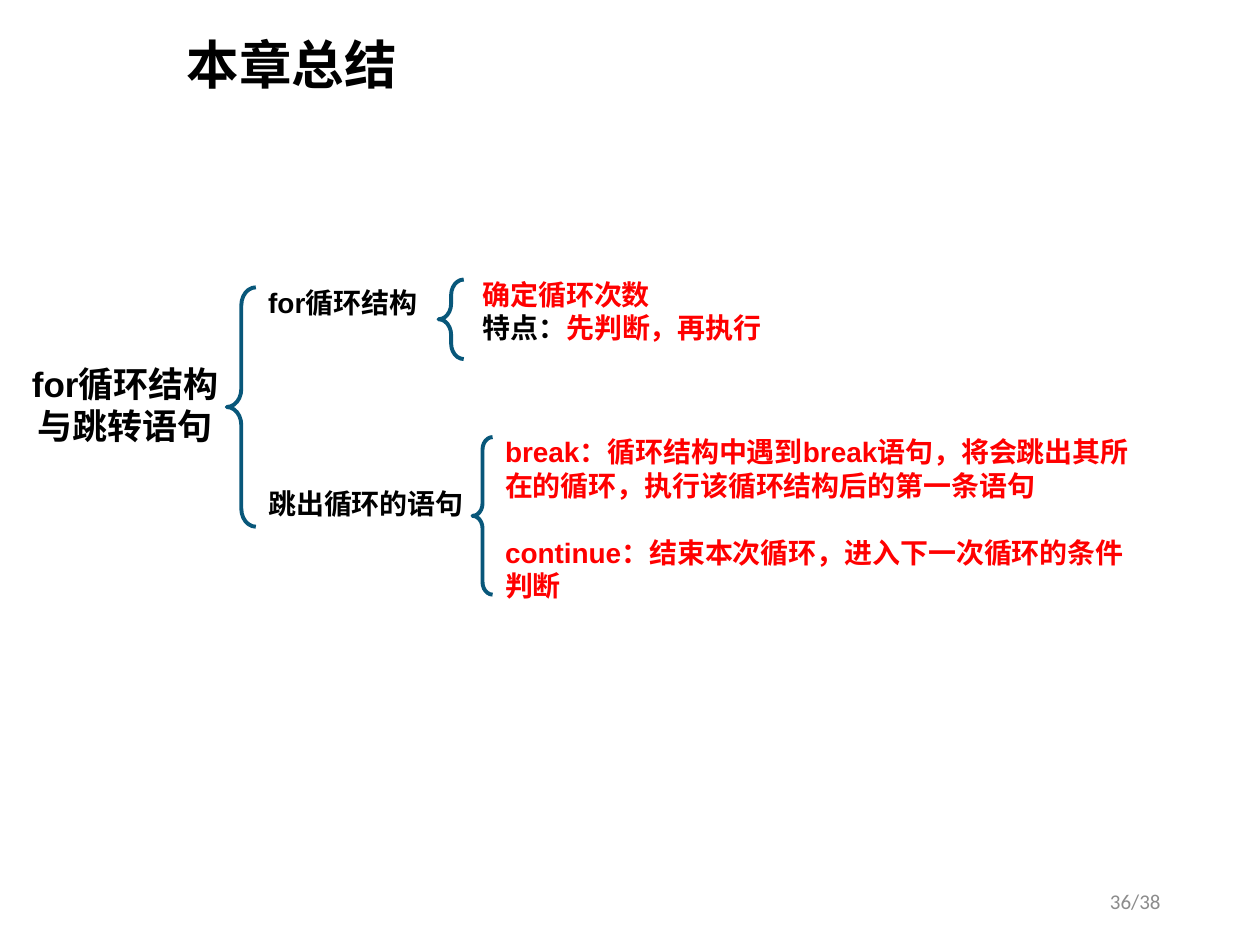
from lxml.etree import SubElement
from pptx import Presentation
from pptx.dml.color import RGBColor
from pptx.enum.shapes import MSO_SHAPE
from pptx.enum.text import MSO_ANCHOR, PP_ALIGN
from pptx.oxml.ns import qn
from pptx.util import Pt

BLACK = RGBColor(0x00, 0x00, 0x00)
RED = RGBColor(0xFF, 0x00, 0x00)
BLUE = RGBColor(0x08, 0x57, 0x7A)
GRAY = RGBColor(0x8C, 0x8C, 0x8C)
CHINESE_FONT = "Noto Sans CJK SC"


def add_run(paragraph, text, size, color, font="Arial", bold=True):
    run = paragraph.add_run()
    run.text = text
    run.font.size = Pt(size)
    run.font.bold = bold
    run.font.name = font
    run.font.color.rgb = color
    SubElement(run.font._element, qn("a:ea"), typeface=CHINESE_FONT)


def add_text(box, paragraphs, size, gap=0, align=PP_ALIGN.LEFT):
    shape = slide.shapes.add_textbox(*[Pt(length) for length in box])
    frame = shape.text_frame
    frame.word_wrap = True
    for index, runs in enumerate(paragraphs):
        paragraph = frame.add_paragraph() if index else frame.paragraphs[0]
        paragraph.alignment = align
        paragraph.space_before = Pt(gap if index else 0)
        for text, color in runs:
            add_run(paragraph, text, size, color)


presentation = Presentation()
presentation.slide_width = Pt(720)
presentation.slide_height = Pt(540)
slide = presentation.slides.add_slide(presentation.slide_layouts[5])

title = slide.shapes.title
title.left, title.top, title.width, title.height = Pt(99.4), Pt(7.2), Pt(620.6), Pt(62.6)
title.text_frame.vertical_anchor = MSO_ANCHOR.MIDDLE
title_paragraph = title.text_frame.paragraphs[0]
title_paragraph.alignment = PP_ALIGN.LEFT
title_paragraph.line_spacing = 0.9
add_run(title_paragraph, "本章总结", 30, BLACK, CHINESE_FONT)

add_text((0, 203.8, 143.3, 55.4),
         [[("for循环结构", BLACK)], [("与跳转语句", BLACK)]], 20, align=PP_ALIGN.CENTER)
add_text((146.2, 159.8, 196.6, 162.7),
         [[("for循环结构", BLACK)], [("跳出循环的语句", BLACK)]], 16, gap=95.7)
add_text((268.6, 154.8, 181.4, 46.1),
         [[("确定循环次数", RED)], [("特点：", BLACK), ("先判断，再执行", RED)]], 16)
add_text((281.5, 244.8, 375.1, 104.4),
         [[("break：循环结构中遇到break语句，将会跳出其所在的循环，执行该循环结构后的第一条语句", RED)],
          [("continue：结束本次循环，进入下一次循环的条件判断", RED)]], 16, gap=19.1)

for left, top, width, height in [
    (129.6, 164.2, 16.6, 136.8),
    (250.6, 159.8, 14.4, 45.4),
    (270, 249.8, 11.5, 90),
]:
    brace = slide.shapes.add_shape(MSO_SHAPE.LEFT_BRACE, Pt(left), Pt(top), Pt(width), Pt(height))
    brace.shadow.inherit = False
    brace.fill.background()
    brace.line.color.rgb = BLUE
    brace.line.width = Pt(2.25)
    brace.adjustments[0] = 0.62

page_number = slide.shapes.add_textbox(Pt(508.3), Pt(500.4), Pt(162), Pt(28.8))
page_number.text_frame.word_wrap = True
page_number.text_frame.vertical_anchor = MSO_ANCHOR.MIDDLE
page_paragraph = page_number.text_frame.paragraphs[0]
page_paragraph.alignment = PP_ALIGN.RIGHT
add_run(page_paragraph, "36/38", 12, GRAY, "Calibri", bold=False)

presentation.save("out.pptx")
